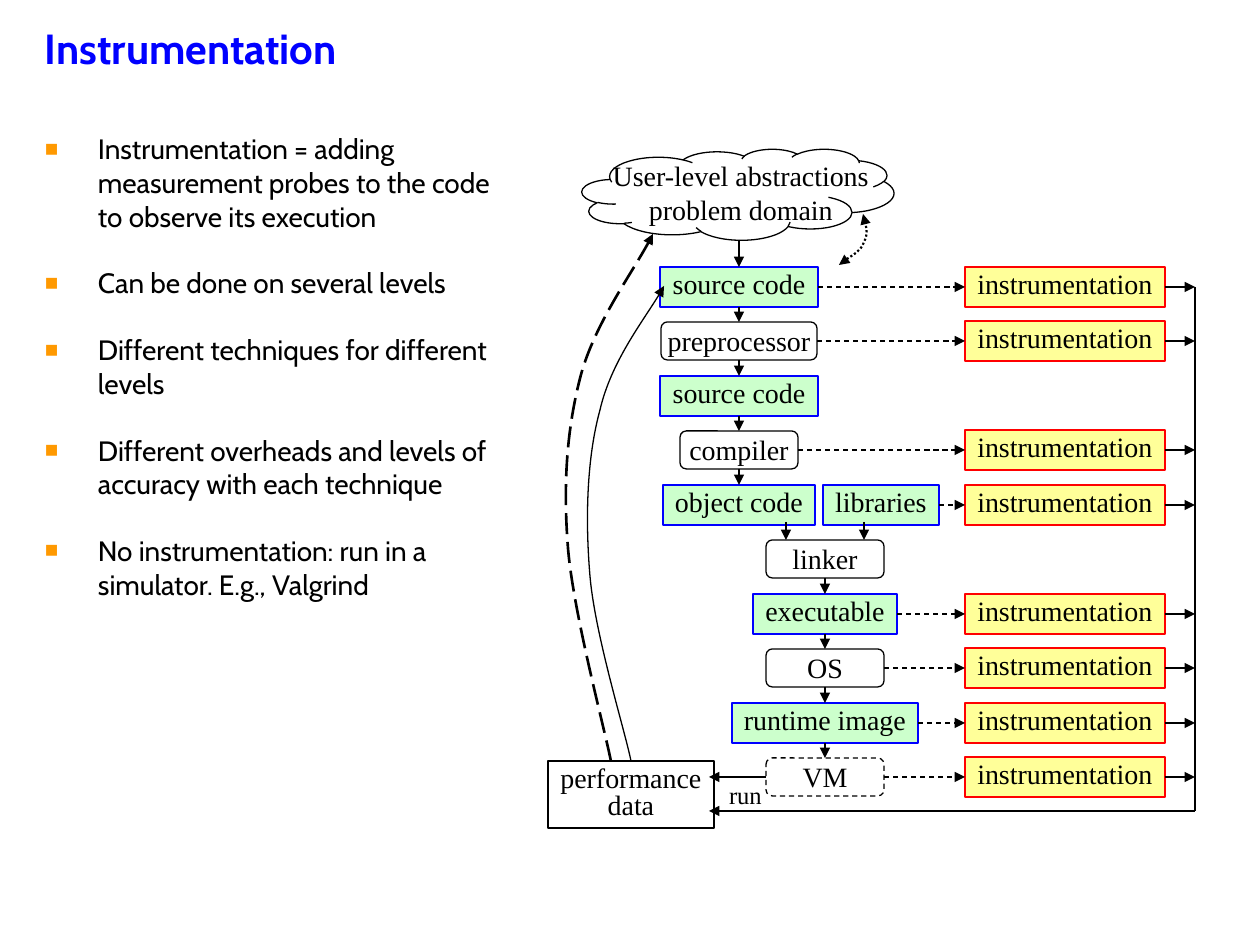
from dataclasses import dataclass
from itertools import pairwise

from lxml.etree import SubElement
from pptx import Presentation
from pptx.dml.color import RGBColor
from pptx.enum.dml import MSO_LINE as Dash
from pptx.enum.shapes import MSO_CONNECTOR as Link, MSO_SHAPE as Form
from pptx.enum.text import MSO_ANCHOR as Anchor, PP_ALIGN as Align
from pptx.oxml.ns import qn
from pptx.util import Emu, Pt

PX = 914400 / 126
BLACK = RGBColor(0, 0, 0)
BLUE = RGBColor(0, 0, 255)
RED = RGBColor(255, 0, 0)
ORANGE = RGBColor(255, 153, 0)
GREEN = RGBColor(204, 255, 204)
YELLOW = RGBColor(255, 255, 153)
SANS, SERIF = "Cabin", "Times New Roman"
TOP, LEFT, BOTTOM, RIGHT = range(4)

BULLETS = [
    "Instrumentation = adding measurement probes to the code to observe its execution",
    "Can be done on several levels",
    "Different techniques for different levels",
    "Different overheads and levels of accuracy with each technique",
    "No instrumentation: run in a simulator. E.g., Valgrind",
]
STAGES = [
    ("source code", 0, 191, 158, "data", True),
    ("preprocessor", 1, 191, 156, "tool", True),
    ("source code", 2, 191, 158, "data", False),
    ("compiler", 3, 191, 118, "tool", True),
    ("object code", 4, 191, 152, "data", False),
    ("libraries", 4, 333, 116, "data", True),
    ("linker", 5, 277, 118, "tool", False),
    ("executable", 6, 277, 144, "data", True),
    ("OS", 7, 277, 118, "tool", True),
    ("runtime image", 8, 277, 186, "data", True),
    ("VM", 9, 277, 118, "virtual", True),
]
FEEDBACK = [(83, 612), (77, 582), (47, 486), (42, 427), (37, 369),
            (39, 308), (52, 261), (63, 213), (102, 163), (116, 137)]
LONG_FEEDBACK = [(63, 612), (56, 577), (25, 462), (20, 398), (15, 334),
                 (19, 279), (33, 226), (47, 175), (90, 116), (105, 85)]
MAPPING = [(291, 116), (301, 108), (313, 102), (316, 93), (320, 85), (318, 75), (315, 65)]


@dataclass
class Box:
    """A rectangle in px."""
    left: int
    top: int
    width: int
    height: int

    def inner(self, left, top, width, height):
        """Return a box placed relative to this one."""
        return Box(self.left + left, self.top + top, width, height)

    def point(self, x, y):
        """Return a point placed relative to this box."""
        return self.left + x, self.top + y

    def emu(self):
        """Return left, top, width and height in EMU."""
        return [emu(n) for n in (self.left, self.top, self.width, self.height)]


def emu(length):
    """Turn px into EMU."""
    return Emu(round(length * PX))


def write(shape, text, font=SERIF, size=16, color=BLACK, bold=False, align=Align.CENTER,
          anchor=Anchor.TOP, spacing=None, gap=0, wrap=False, bullet=False, left=13):
    """Fill a shape with one paragraph per line of text."""
    frame = shape.text_frame
    frame.word_wrap, frame.vertical_anchor = wrap, anchor
    frame.margin_left, frame.margin_right = emu(left), emu(13)
    frame.margin_top, frame.margin_bottom = emu(6), emu(6)
    for index, line in enumerate(text.split("\n")):
        para = frame.add_paragraph() if index else frame.paragraphs[0]
        para.alignment = align
        if spacing:
            para.line_spacing = spacing
        if index and gap:
            para.space_before = Pt(gap)
        if bullet:
            add_bullet(para)
        span = para.add_run()
        span.text = line
        span.font.name, span.font.size, span.font.bold = font, Pt(size), bold
        span.font.color.rgb = color


def add_bullet(para):
    """Give a paragraph a hanging square bullet."""
    props = para._p.get_or_add_pPr()
    props.set("marL", str(emu(53)))
    props.set("indent", str(-emu(53)))
    SubElement(SubElement(props, qn("a:buClr")), qn("a:srgbClr"), val=str(ORANGE))
    SubElement(props, qn("a:buSzPct"), val="80000")
    SubElement(props, qn("a:buFont"), typeface=SERIF)
    SubElement(props, qn("a:buChar"), char="■")


def set_line(line, color=BLACK, width=0.75, dash=None, head=False, tail=False):
    """Style a line and its arrowheads."""
    line.color.rgb, line.width = color, Pt(width)
    if dash:
        line.dash_style = dash
    for name, wanted in (("a:headEnd", head), ("a:tailEnd", tail)):
        if wanted:
            SubElement(line._get_or_add_ln(), qn(name), type="triangle")


def add_form(page, form, box, fill=None, **line):
    """Add a preset shape without shadow."""
    shape = page.shapes.add_shape(form, *box.emu())
    shape.shadow.inherit = False
    if fill:
        shape.fill.solid()
        shape.fill.fore_color.rgb = fill
    else:
        shape.fill.background()
    set_line(shape.line, **line)
    return shape


def add_link(page, start, end, tail=True, dash=None):
    """Draw a straight line between points or (shape, side) pairs."""
    link = page.shapes.add_connector(Link.STRAIGHT, 0, 0, 0, 0)
    if isinstance(start[0], int):
        link.begin_x, link.begin_y = map(emu, start)
    else:
        link.begin_connect(*start)
    if isinstance(end[0], int):
        link.end_x, link.end_y = map(emu, end)
    else:
        link.end_connect(*end)
    set_line(link.line, tail=tail, dash=dash)
    SubElement(link._element.spPr, qn("a:effectLst"))


def add_curve(page, box, points, **line):
    """Draw a Bézier curve from a start and triples of control points."""
    start, *rest = [box.point(*point) for point in points]
    builder = page.shapes.build_freeform(*start, scale=PX)
    builder.add_line_segments(rest, close=False)
    curve = builder.convert_to_shape()
    curve.shadow.inherit = False
    curve.fill.background()
    set_line(curve.line, **line)
    track = next(curve._element.iter(qn("a:path")))
    for index, segment in enumerate(track.findall(qn("a:lnTo"))):
        if index % 3 == 0:
            bend = SubElement(track, qn("a:cubicBezTo"))
        bend.append(segment[0])
        track.remove(segment)


def add_stage(page, box, text, kind):
    """Add one step of the tool chain."""
    if kind == "data":
        shape = add_form(page, Form.RECTANGLE, box, GREEN, color=BLUE, width=1.25)
    else:
        shape = add_form(page, Form.ROUNDED_RECTANGLE, box.inner(0, 1, box.width, box.height - 2),
                         dash=Dash.DASH if kind == "virtual" else None)
    write(shape, text, spacing=0.8)
    return shape


def add_diagram(page, box):
    """Draw the tool chain with its probes and the data they feed."""
    cloud = add_form(page, Form.CLOUD, box.inner(34, 0, 312, 91))
    write(cloud, "User-level abstractions\nproblem domain", anchor=Anchor.MIDDLE, left=41)
    result = add_form(page, Form.RECTANGLE, box.inner(0, 612, 166, 67))
    write(result, "performance\ndata", spacing=0.8)

    shapes = []
    bus = 647
    for text, row, center, width, kind, probed in STAGES:
        top = 118 + 109 * row // 2
        stage = add_stage(page, box.inner(center - width // 2, top, width, 40), text, kind)
        shapes.append(stage)
        if probed:
            probe = add_form(page, Form.RECTANGLE, box.inner(417, top, 200, 40),
                             YELLOW, color=RED, width=1.25)
            write(probe, "instrumentation", spacing=0.8)
            add_link(page, (stage, RIGHT), (probe, LEFT), dash=Dash.DASH)
            add_link(page, (probe, RIGHT), box.point(bus, top + 20))

    for chain in (shapes[:5], shapes[6:]):
        for upper, lower in pairwise(chain):
            add_link(page, (upper, BOTTOM), (lower, TOP))
    for x in (238, 316):
        add_link(page, box.point(x, 373), box.point(x, 391))
    add_link(page, box.point(191, 91), (shapes[0], TOP))
    add_link(page, (shapes[-1], LEFT), box.point(161, 628))
    add_link(page, box.point(bus, 138), box.point(bus, 662), tail=False)
    add_link(page, box.point(bus, 662), box.point(161, 662))
    run = page.shapes.add_textbox(*box.inner(168, 625, 80, 43).emu())
    write(run, "run", size=14, align=Align.LEFT, wrap=True)

    add_curve(page, box, FEEDBACK, tail=True)
    add_curve(page, box, LONG_FEEDBACK, width=1.5, dash=Dash.LONG_DASH, tail=True)
    add_curve(page, box, MAPPING, width=1.25, dash=Dash.ROUND_DOT, head=True, tail=True)


def add_title(page, box):
    """Add the slide title."""
    write(page.shapes.add_textbox(*box.emu()), "Instrumentation", font=SANS, size=24, color=BLUE,
          bold=True, align=Align.LEFT, anchor=Anchor.MIDDLE, spacing=0.9, wrap=True)


def add_points(page, box):
    """Add the bulleted list."""
    write(page.shapes.add_textbox(*box.emu()), "\n".join(BULLETS), font=SANS,
          align=Align.LEFT, gap=19, wrap=True, bullet=True)


def main():
    """Build the slide and save it."""
    deck = Presentation()
    deck.slide_width, deck.slide_height = emu(1260), emu(945)
    page = deck.slides.add_slide(deck.slide_layouts[6])
    add_title(page, Box(32, 4, 976, 94))
    add_points(page, Box(32, 126, 482, 735))
    add_diagram(page, Box(548, 149, 647, 679))
    deck.save("out.pptx")


if __name__ == "__main__":
    main()
